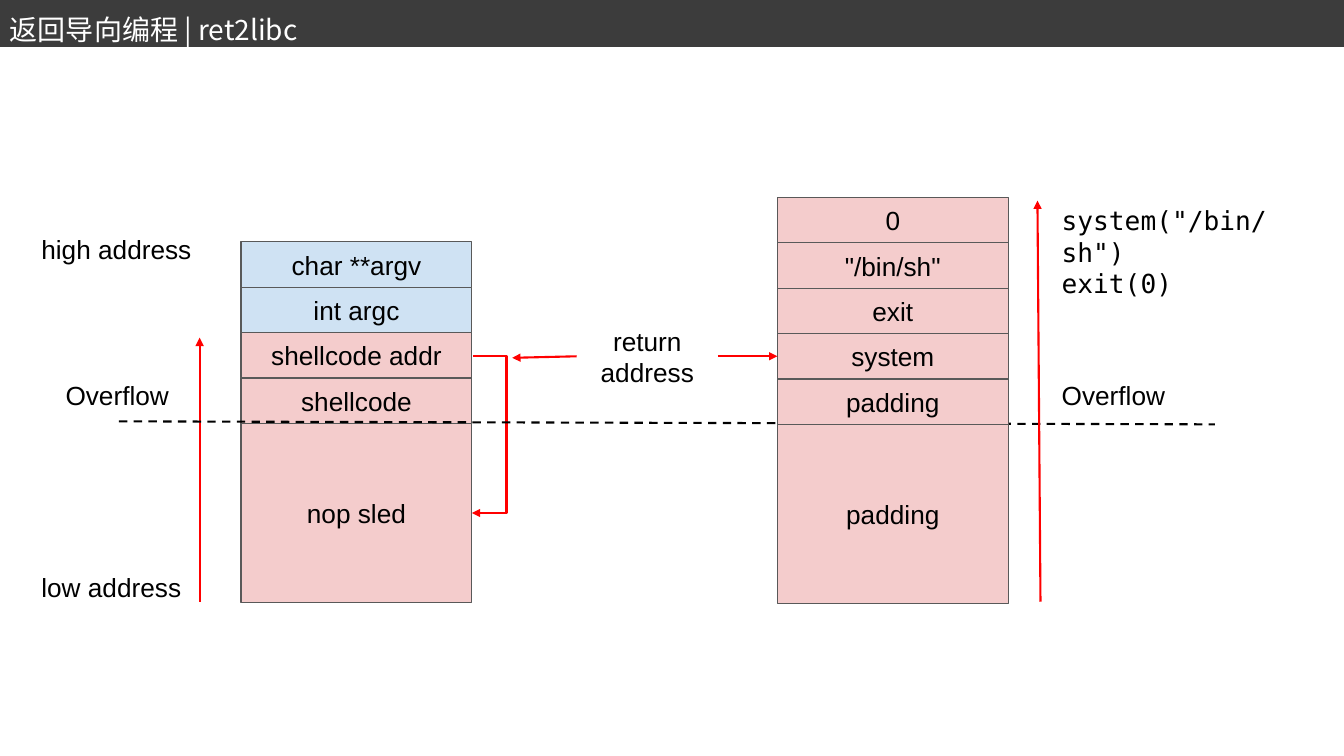
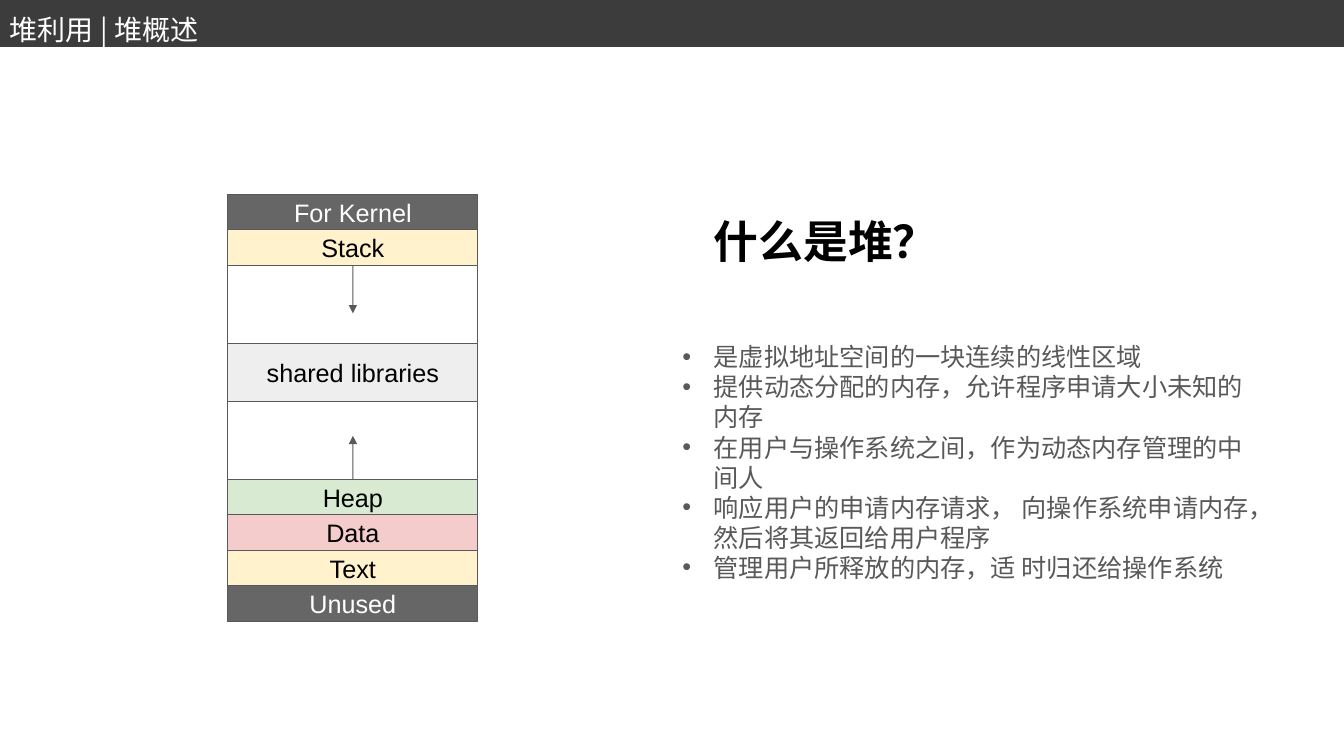
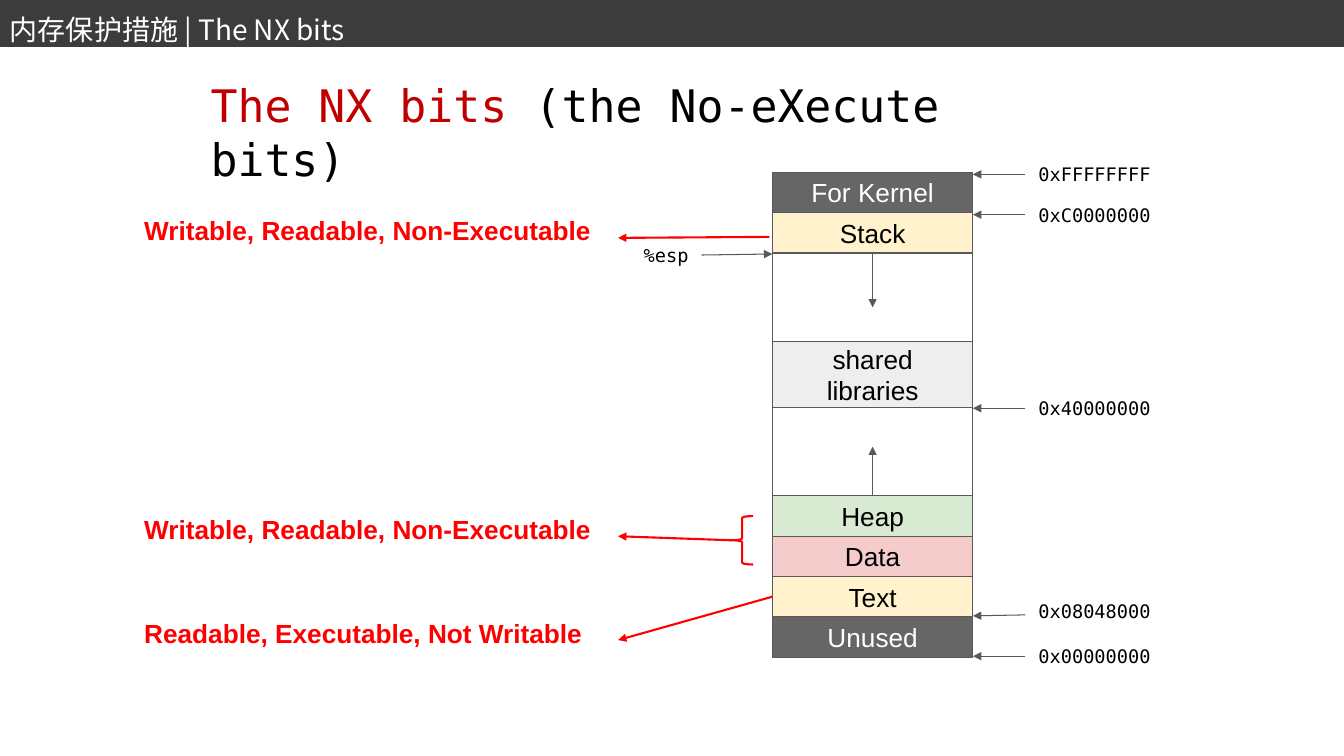
"""Build three slides on return-oriented programming, the heap and NX bits."""
from dataclasses import dataclass

from lxml import etree
from pptx import Presentation
from pptx import util as u
from pptx.dml.color import RGBColor
from pptx.enum import dml, shapes, text
from pptx.oxml.ns import qn

SANS, MONO, CJK = "Arial", "DejaVu Sans Mono", "Noto Sans CJK SC"
BLACK, WHITE, RED, DARK_RED = "000000", "FFFFFF", "FF0000", "C00000"
BAND, OUTLINE, KERNEL = "3C3C3C", "595959", "666666"
BLUE, PINK, YELLOW, GREEN, GREY = "CFE2F3", "F4CCCC", "FFF2CC", "D9EAD3", "EEEEEE"
LEFT, CENTER, RIGHT = text.PP_ALIGN.LEFT, text.PP_ALIGN.CENTER, text.PP_ALIGN.RIGHT
TOP_SIDE, LEFT_SIDE, BOTTOM_SIDE, RIGHT_SIDE = range(4)


@dataclass(frozen=True)
class Cell:
    label: str
    fill: str
    height: float = 0.4
    color: str = BLACK


@dataclass(frozen=True)
class Address:
    value: str
    label_top: float
    boundary: float


@dataclass(frozen=True)
class Permission:
    label: str
    top: float


MEMORY_MAP = [
    Cell("For Kernel", KERNEL, color=WHITE),
    Cell("Stack", YELLOW),
    Cell("", WHITE, 0.88),
    Cell("shared libraries", GREY, 0.65),
    Cell("", WHITE, 0.88),
    Cell("Heap", GREEN),
    Cell("Data", PINK),
    Cell("Text", YELLOW),
    Cell("Unused", KERNEL, color=WHITE),
]
SHELLCODE_STACK = [
    Cell("char **argv", BLUE, 0.45),
    Cell("int argc", BLUE, 0.45),
    Cell("shellcode addr", PINK, 0.45),
    Cell("shellcode", PINK, 0.45),
    Cell("nop sled", PINK, 1.78),
]
LIBC_STACK = [
    Cell(label, PINK, 0.45) for label in ("0", '"/bin/sh"', "exit", "system", "padding")
] + [Cell("padding", PINK, 1.78)]
ADDRESSES = [
    Address("0xFFFFFFFF", 1.53, 1.73),
    Address("0xC0000000", 1.93, 2.13),
    Address("0x40000000", 3.85, 4.05),
    Address("0x08048000", 5.86, 6.11),
    Address("0x00000000", 6.31, 6.51),
]
PERMISSIONS = [
    Permission("Writable, Readable, Non-Executable", 2),
    Permission("Writable, Readable, Non-Executable", 4.96),
    Permission("Readable, Executable, Not Writable", 5.99),
]
HEAP_FACTS = """是虚拟地址空间的一块连续的线性区域
提供动态分配的内存，允许程序申请大小未知的内存
在用户与操作系统之间，作为动态内存管理的中间人
响应用户的申请内存请求， 向操作系统申请内存，然后将其返回给用户程序
管理用户所释放的内存，适 时归还给操作系统"""


def rgb(value):
    return RGBColor.from_string(value)


def box(at):
    return [u.Inches(length) for length in at]


def write(shape, content, *, size=18.7, font=SANS, color=BLACK, bold=False, align=LEFT,
          middle=False, inset=0.13, accent="", bullet=False, leading=None):
    frame = shape.text_frame
    frame.word_wrap = True
    frame.vertical_anchor = text.MSO_ANCHOR.MIDDLE if middle else text.MSO_ANCHOR.TOP
    frame.margin_left = frame.margin_right = u.Inches(inset)
    frame.margin_top = frame.margin_bottom = u.Inches(min(inset, 0.13))
    for index, line in enumerate(content.split("\n")):
        paragraph = frame.add_paragraph() if index else frame.paragraphs[0]
        paragraph.alignment = align
        if leading:
            paragraph.line_spacing = u.Pt(leading)
        if bullet:
            props = paragraph._p.get_or_add_pPr()
            props.set("marL", str(u.Inches(0.31)))
            props.set("indent", str(-u.Inches(0.31)))
            etree.SubElement(props, qn("a:buFont")).set("typeface", SANS)
            etree.SubElement(props, qn("a:buChar")).set("char", "•")
        for part, part_color in ((accent, DARK_RED), (line, color)):
            if part:
                run = paragraph.add_run()
                run.text = part
                run.font.size = u.Pt(size)
                run.font.bold = bold
                run.font.name = font
                run.font.color.rgb = rgb(part_color)
                etree.SubElement(run._r.get_or_add_rPr(), qn("a:ea")).set("typeface", font)


def label(slide, at, content, **style):
    holder = slide.shapes.add_textbox(*box(at))
    write(holder, content, **style)
    return holder


def block(slide, at, fill, outline=OUTLINE, width=0.75, kind=shapes.MSO_SHAPE.RECTANGLE):
    shape = slide.shapes.add_shape(kind, *box(at))
    shape.shadow.inherit = False
    if fill:
        shape.fill.solid()
        shape.fill.fore_color.rgb = rgb(fill)
    else:
        shape.fill.background()
    shape.line.color.rgb = rgb(outline)
    shape.line.width = u.Pt(width)
    return shape


def connect(slide, start, end, *, color=RED, width=1.5, arrow=True, dashed=False,
            begin=None, finish=None, kind=shapes.MSO_CONNECTOR.STRAIGHT):
    line = slide.shapes.add_connector(kind, *box((*start, *end)))
    if begin:
        line.begin_connect(*begin)
    if finish:
        line.end_connect(*finish)
    line.line.color.rgb = rgb(color)
    line.line.width = u.Pt(width)
    if dashed:
        line.line.dash_style = dml.MSO_LINE.DASH
    props = line._element.spPr
    if arrow:
        etree.SubElement(props.find(qn("a:ln")), qn("a:tailEnd")).set("type", "triangle")
    etree.SubElement(props, qn("a:effectLst"))
    return line


def draw_stack(slide, cells, left, top, width, scale=1.0, **style):
    drawn = []
    for cell in cells:
        height = cell.height * scale
        shape = block(slide, (left, top, width, height), cell.fill)
        if cell.label:
            write(shape, cell.label, color=cell.color, align=CENTER, middle=True, **style)
        drawn.append(shape)
        top += height
    return drawn


def draw_memory_map(slide, left, top, width, scale=1.0, **style):
    cells = draw_stack(slide, MEMORY_MAP, left, top, width, scale, **style)
    center = left + width / 2
    stack_end = top + 0.8 * scale
    heap_start = top + 3.21 * scale
    connect(slide, (center, stack_end), (center, stack_end + 0.54 * scale),
            color=OUTLINE, width=0.75, begin=(cells[1], BOTTOM_SIDE))
    connect(slide, (center, heap_start), (center, heap_start - 0.49 * scale),
            color=OUTLINE, width=0.75, begin=(cells[5], TOP_SIDE))
    return cells


def new_slide(deck, title):
    slide = deck.slides.add_slide(deck.slide_layouts[6])
    block(slide, (0, 0.01, 13.33, 0.44), BAND, BAND, 2)
    label(slide, (0, 0.01, 6.17, 0.44), title, size=20, font=CJK, color=WHITE,
          inset=0.1, leading=25)
    return slide


def build_ret2libc(deck):
    slide = new_slide(deck, "返回导向编程 | ret2libc")
    draw_stack(slide, SHELLCODE_STACK, 2.39, 2.4, 2.29)
    jump = connect(slide, (4.69, 3.53), (4.68, 5.09), kind=shapes.MSO_CONNECTOR.ELBOW)
    bend = jump._element.spPr.find(qn("a:prstGeom")).get_or_add_avLst()
    guide = etree.SubElement(bend, qn("a:gd"))
    guide.set("name", "adj1")
    guide.set("fmla", "val -3400000")
    connect(slide, (1.98, 5.97), (1.98, 3.35))
    connect(slide, (1.18, 4.18), (12.05, 4.21), color=BLACK, arrow=False, dashed=True)
    libc = draw_stack(slide, LIBC_STACK, 7.71, 1.96, 2.29)
    target = label(slide, (5.72, 3.31, 1.4, 0.45), "return\naddress",
                   align=CENTER, middle=True)
    connect(slide, (7.12, 3.53), (7.71, 3.53),
            begin=(target, RIGHT_SIDE), finish=(libc[3], LEFT_SIDE))
    connect(slide, (5.72, 3.53), (5.08, 3.55), begin=(target, LEFT_SIDE))
    connect(slide, (10.32, 5.97), (10.29, 1.99))
    for left in (0.52, 10.4):
        label(slide, (left, 3.63, 1.29, 0.45), "Overflow")
    label(slide, (10.4, 1.9, 2.73, 1), 'system("/bin/sh")\nexit(0)', font=MONO)
    for top, end in ((2.18, "high address"), (5.54, "low address")):
        label(slide, (0.28, top, 1.78, 0.45), end)


def build_heap(deck):
    slide = new_slide(deck, "堆利用 | 堆概述")
    draw_memory_map(slide, 2.26, 1.93, 2.48, 0.88, size=18, inset=0.1)
    label(slide, (6.98, 2, 2.6, 0.64), "什么是堆？", size=32, font=CJK, bold=True,
          inset=0.1, leading=40)
    label(slide, (6.67, 3.29, 5.93, 2.52), HEAP_FACTS, size=18, font=CJK,
          color=OUTLINE, inset=0.1, bullet=True, leading=21.5)


def build_nx_bits(deck):
    slide = new_slide(deck, "内存保护措施 | The NX bits")
    cells = draw_memory_map(slide, 7.66, 1.71, 1.99)
    for address in ADDRESSES:
        value = label(slide, (10.17, address.label_top, 1.53, 0.4), address.value,
                      size=13.3, font=MONO, middle=True)
        start = address.boundary - 0.01
        centered = abs(address.label_top + 0.2 - start) < 0.03
        connect(slide, (10.17, start), (9.65, address.boundary), color=OUTLINE,
                width=0.75, begin=(value, LEFT_SIDE) if centered else None)
    esp = label(slide, (6.02, 2.33, 0.94, 0.4), "%esp", size=13.3, font=MONO,
                align=RIGHT, middle=True)
    connect(slide, (6.96, 2.53), (7.66, 2.52), color=OUTLINE, width=0.75,
            begin=(esp, RIGHT_SIDE))
    for permission in PERMISSIONS:
        label(slide, (1.3, permission.top, 4.83, 0.71), permission.label,
              color=RED, bold=True)
    connect(slide, (7.63, 2.35), (6.13, 2.36))
    connect(slide, (7.66, 5.92), (6.13, 6.35), begin=(cells[7], LEFT_SIDE))
    brace = block(slide, (7.25, 5.12, 0.22, 0.48), None, RED, 1.5,
                  shapes.MSO_SHAPE.LEFT_BRACE)
    brace.adjustments[0] = 0.08
    connect(slide, (7.25, 5.36), (6.13, 5.32))
    label(slide, (1.99, 0.67, 8.36, 0.64), "(the No-eXecute bits)", size=32, font=MONO,
          accent="The NX bits ", inset=0.1)


def main():
    deck = Presentation()
    deck.slide_width, deck.slide_height = u.Inches(13.33), u.Inches(7.5)
    for build in (build_ret2libc, build_heap, build_nx_bits):
        build(deck)
    deck.save("out.pptx")


if __name__ == "__main__":
    main()
